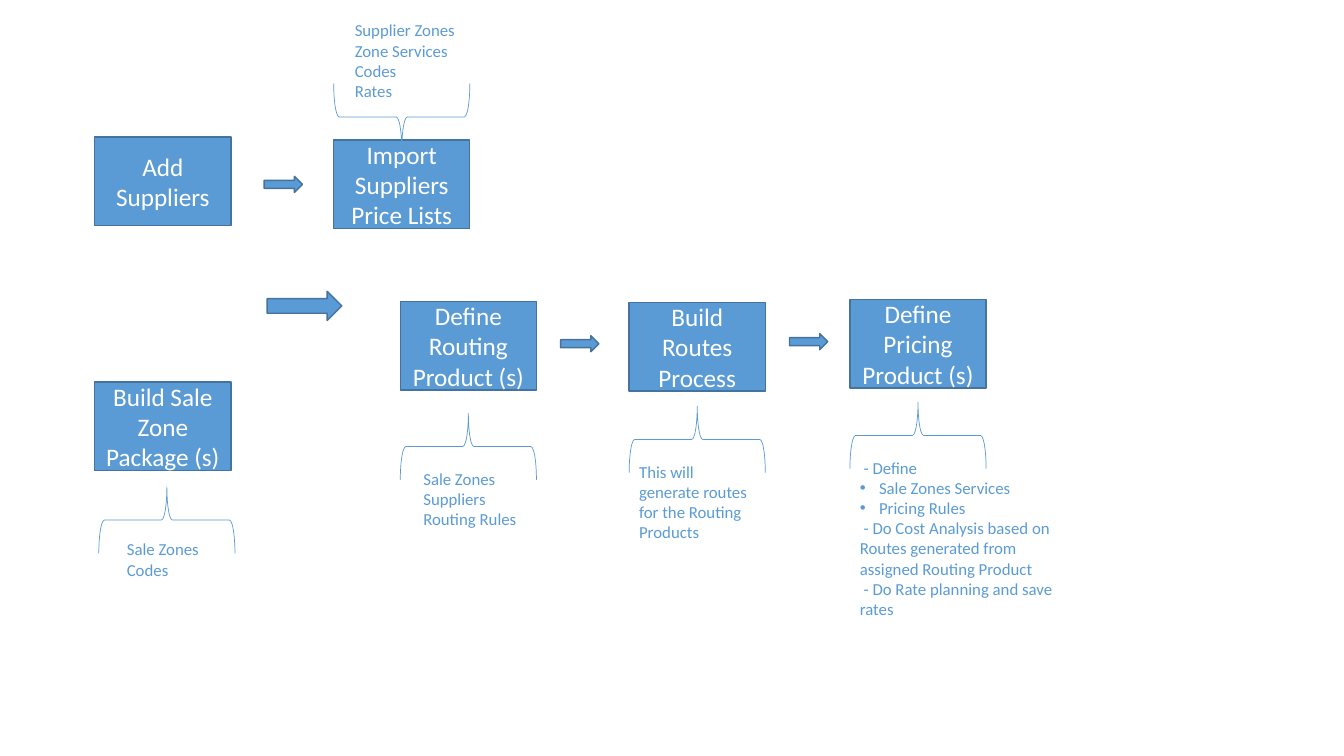
from lxml.etree import SubElement
from pptx import Presentation
from pptx.dml.color import RGBColor
from pptx.enum.shapes import MSO_SHAPE as Preset
from pptx.enum.text import MSO_ANCHOR as Anchor, MSO_AUTO_SIZE as AutoSize, PP_ALIGN as Align
from pptx.oxml.ns import qn
from pptx.util import Inches, Pt

BLUE, EDGE, WHITE = "5B9BD5", "43739E", "FFFFFF"
STEP_W, STEP_H = 1.35, 0.88
BRACE_DEPTH = 0.66
BULLET = "\u2022"

# left, top, wording
STEPS = [
    (0.94, 1.36, "Add Suppliers"),
    (3.31, 1.39, "Import Suppliers Price Lists"),
    (0.94, 3.79, "Build Sale Zone Package (s)"),
    (3.97, 2.99, "Define Routing Product (s)"),
    (6.24, 3.0, "Build Routes Process"),
    (8.43, 2.97, "Define Pricing Product (s)"),
]
# left, top, width, height
ARROWS = [
    (2.62, 1.75, 0.38, 0.16),
    (2.65, 2.89, 0.74, 0.29),
    (5.56, 3.33, 0.38, 0.16),
    (7.83, 3.31, 0.38, 0.16),
]
# left and top as seen after turning, rotation
BRACES = [
    (3.31, 0.83, 270),
    (0.98, 4.83, 90),
    (3.97, 4.1, 90),
    (6.24, 4.03, 90),
    (8.43, 3.99, 90),
]
# left, top, width, height, lines
DETAILS = [
    (3.42, 0.15, 1.35, 0.91, ["Supplier Zones", "Zone Services", "Codes", "Rates"]),
    (1.16, 5.3, 1.0, 0.5, ["Sale Zones", "Codes"]),
    (4.1, 4.6, 1.19, 0.71, ["Sale Zones", "Suppliers", "Routing Rules"]),
    (6.24, 4.53, 1.35, 0.91, ["This will generate routes for the Routing Products"]),
    (8.43, 4.49, 2.16, 1.72, [
        " - Define",
        BULLET + "Sale Zones Services",
        BULLET + "Pricing Rules",
        " - Do Cost Analysis based on Routes generated from assigned Routing Product",
        " - Do Rate planning and save rates",
    ]),
]


def rgb(hex_code):
    """Turn a hex string into a colour."""
    return RGBColor.from_string(hex_code)


def style_text(paragraph, size, color):
    """Set font, size and colour on every run of a paragraph."""
    for run in paragraph.runs:
        run.font.name = "Calibri"
        run.font.size = Pt(size)
        run.font.color.rgb = rgb(color)


def add_bullet(paragraph):
    """Give a paragraph a round bullet with a hanging indent."""
    properties = paragraph._p.get_or_add_pPr()
    properties.set("marL", str(Inches(0.19)))
    properties.set("indent", str(Inches(-0.19)))
    SubElement(properties, qn("a:buFont"), typeface="Arial")
    SubElement(properties, qn("a:buChar"), char=BULLET)


def add_outlined(slide, preset, left, top, width, height, edge, weight):
    """Add a preset shape with a plain outline and no shadow."""
    shape = slide.shapes.add_shape(
        preset, Inches(left), Inches(top), Inches(width), Inches(height))
    shape.shadow.inherit = False
    shape.line.color.rgb = rgb(edge)
    shape.line.width = Pt(weight)
    return shape


def add_solid(slide, preset, left, top, width, height):
    """Add a blue filled shape with a darker edge."""
    shape = add_outlined(slide, preset, left, top, width, height, EDGE, 1)
    shape.fill.solid()
    shape.fill.fore_color.rgb = rgb(BLUE)
    return shape


def add_step(slide, left, top, wording):
    """Add one process step with centred wording."""
    frame = add_solid(slide, Preset.RECTANGLE, left, top, STEP_W, STEP_H).text_frame
    frame.text = wording
    frame.word_wrap = True
    frame.vertical_anchor = Anchor.MIDDLE
    frame.paragraphs[0].alignment = Align.CENTER
    style_text(frame.paragraphs[0], 18, WHITE)


def add_brace(slide, left, top, rotation):
    """Add a brace as wide as a step, turned about its centre."""
    shift = (STEP_W - BRACE_DEPTH) / 2
    brace = add_outlined(slide, Preset.LEFT_BRACE, left + shift, top - shift,
                         BRACE_DEPTH, STEP_W, BLUE, 0.5)
    brace.fill.background()
    brace.rotation = rotation


def add_details(slide, left, top, width, height, lines):
    """Add the small text that explains a step."""
    frame = slide.shapes.add_textbox(
        Inches(left), Inches(top), Inches(width), Inches(height)).text_frame
    frame.word_wrap = True
    frame.auto_size = AutoSize.SHAPE_TO_FIT_TEXT
    frame.text = "\n".join(line.lstrip(BULLET) for line in lines)
    for paragraph, line in zip(frame.paragraphs, lines):
        style_text(paragraph, 12, BLUE)
        if line.startswith(BULLET):
            add_bullet(paragraph)


def main():
    """Build the supplier and routing workflow slide."""
    deck = Presentation()
    deck.slide_width, deck.slide_height = Inches(13.33), Inches(7.5)
    slide = deck.slides.add_slide(deck.slide_layouts[6])
    for step in STEPS:
        add_step(slide, *step)
    for arrow in ARROWS:
        add_solid(slide, Preset.RIGHT_ARROW, *arrow)
    for brace in BRACES:
        add_brace(slide, *brace)
    for details in DETAILS:
        add_details(slide, *details)
    deck.save("out.pptx")


main()
